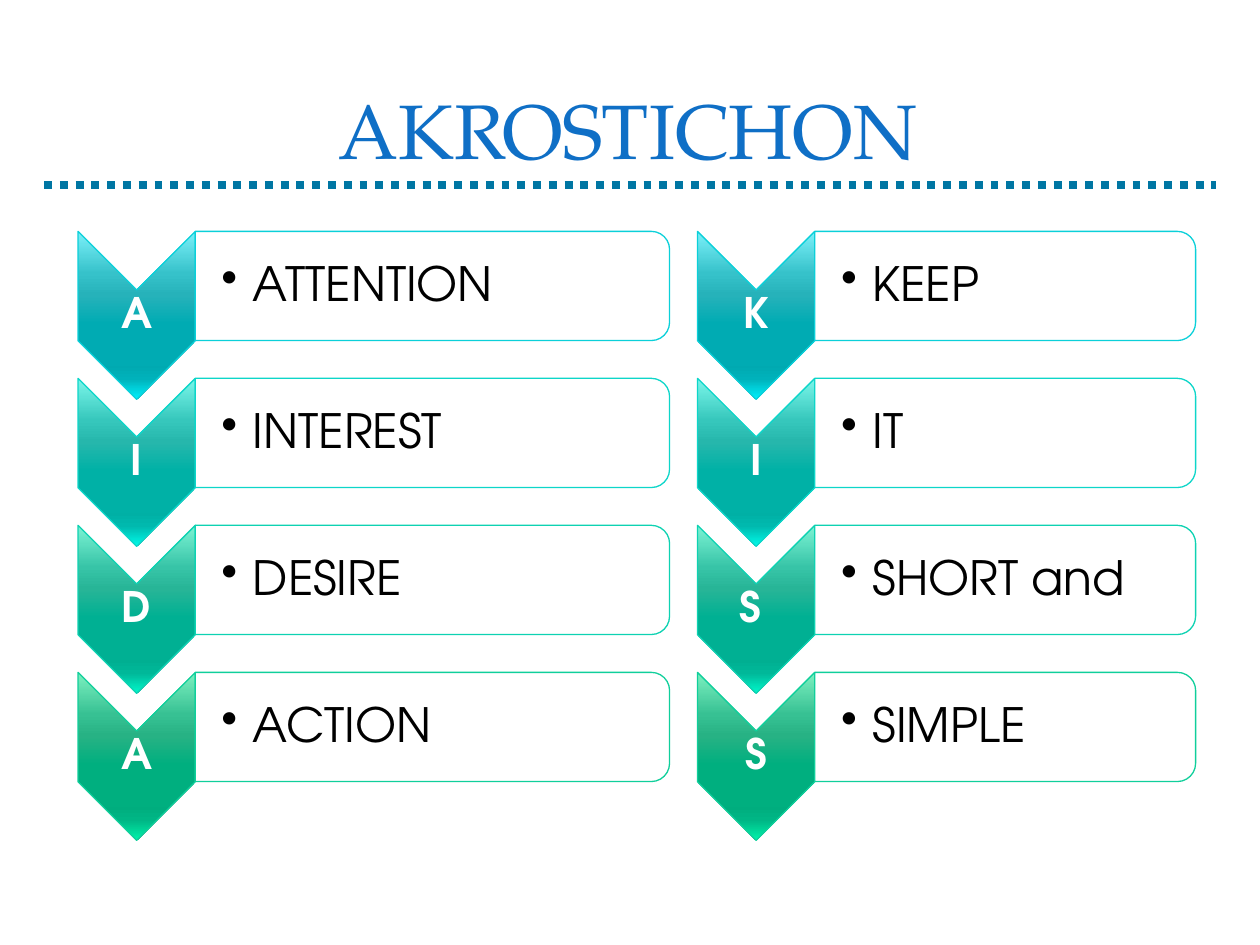
from lxml.etree import SubElement
from pptx import Presentation
from pptx.dml.color import RGBColor
from pptx.enum.dml import MSO_LINE
from pptx.enum.shapes import MSO_CONNECTOR, MSO_SHAPE as Shape
from pptx.enum.text import MSO_ANCHOR, PP_ALIGN as Align
from pptx.oxml.ns import qn
from pptx.util import Pt

TITLE_FONT = "TeX Gyre Pagella"
BODY_FONT = "TeX Gyre Adventor"
ROW_PITCH = 84
CHEVRON_WIDTH, CHEVRON_HEIGHT = 67, 96
PANEL_HEIGHT = 62.4
STOPS = (0, 25, 38, 55, 80, 88, 100)
# One entry per row: outline colour, then the gradient colours at STOPS.
ROW_COLORS = [
    ("0BD0D9", "7CF0F9 36C2CA 26B2BA 00ABB3 00A9B1 00B2BB 00F1FD".split()),
    ("0DD6C9", "7CF6EA 36C7BC 26B7AC 00B1A6 00B0A5 00B9AE 00FAE9".split()),
    ("0ED2B2", "7DF3D4 37C4A7 27B597 00B093 00AF91 00B899 00F7CA".split()),
    ("10CF9B", "7DF0C0 37C193 27B284 00AF7F 00AD7E 00B685 00F4AB".split()),
]
AIDA = [("A", "ATTENTION"), ("I", "INTEREST"), ("D", "DESIRE"), ("A", "ACTION")]
KISS = [("K", "KEEP"), ("I", "IT"), ("S ", "SHORT and"), ("S", "SIMPLE")]


def color(value):
    return RGBColor.from_string(value)


def add_text(page, text, left, top, width, height, font, size, ink,
             bold=False, align=Align.LEFT, inset=1.5, spacing=0.9):
    """Add a vertically centred line of text and return its paragraph."""
    box = page.shapes.add_textbox(Pt(left), Pt(top), Pt(width), Pt(height))
    frame = box.text_frame
    frame.word_wrap = True
    frame.vertical_anchor = MSO_ANCHOR.MIDDLE
    frame.margin_left = Pt(inset)
    frame.margin_right = frame.margin_top = frame.margin_bottom = Pt(1.5)
    para = frame.paragraphs[0]
    para.text = text
    para.alignment = align
    para.line_spacing = spacing
    para.font.name = font
    para.font.size = Pt(size)
    para.font.bold = bold
    para.font.color.rgb = color(ink)
    return para


def add_turned_shape(page, kind, left, top, width, height, outline):
    """Add a shape turned by 90 degrees that fills the given box as seen."""
    shape = page.shapes.add_shape(
        kind, Pt(left + (width - height) / 2), Pt(top + (height - width) / 2),
        Pt(height), Pt(width))
    shape.rotation = 90
    shape.shadow.inherit = False
    shape.line.color.rgb = color(outline)
    shape.line.width = Pt(0.75)
    return shape


def fill_gradient(shape, colors):
    """Fill from top to bottom of the page, whatever the shape's rotation."""
    shape.fill.gradient()
    gradient = shape._element.spPr.find(qn("a:gradFill"))
    gradient.set("rotWithShape", "0")
    gradient.find(qn("a:lin")).set("ang", "5400000")
    stops = gradient.find(qn("a:gsLst"))
    for stop in list(stops):
        stops.remove(stop)
    for position, value in zip(STOPS, colors):
        stop = SubElement(stops, qn("a:gs"), pos=str(position * 1000))
        SubElement(stop, qn("a:srgbClr"), val=value)


def add_bullet(para, indent):
    properties = para._p.get_or_add_pPr()
    properties.set("marL", str(Pt(indent)))
    properties.set("indent", str(-Pt(indent)))
    SubElement(properties, qn("a:buChar"), char="•")


def add_header(page, left, top, width, height):
    add_text(page, "AKROSTICHON", left + 8.6, top, width - 19.4, height,
             TITLE_FONT, 44, "0F6FC6", align=Align.CENTER, spacing=1)
    rule_top = Pt(top + 73.4)
    rule = page.shapes.add_connector(
        MSO_CONNECTOR.STRAIGHT, Pt(left), rule_top, Pt(left + width), rule_top)
    rule.line.color.rgb = color("0076A3")
    rule.line.width = Pt(4.5)
    rule.line.dash_style = MSO_LINE.ROUND_DOT
    SubElement(rule._element.spPr, qn("a:effectLst"))


def add_acrostic(page, entries, left, top, width):
    """Add a column of lettered chevrons, each with its word beside it."""
    panel_left = left + CHEVRON_WIDTH
    panel_width = width - CHEVRON_WIDTH
    for row, ((letter, word), (outline, colors)) in enumerate(zip(entries, ROW_COLORS)):
        row_top = top + row * ROW_PITCH
        chevron = add_turned_shape(page, Shape.CHEVRON, left, row_top,
                                   CHEVRON_WIDTH, CHEVRON_HEIGHT, outline)
        fill_gradient(chevron, colors)
        add_text(page, letter, left, row_top + 33.5, CHEVRON_WIDTH, 28.8,
                 BODY_FONT, 24, "FFFFFF", bold=True, align=Align.CENTER)
        panel = add_turned_shape(page, Shape.ROUND_2_SAME_RECTANGLE, panel_left,
                                 row_top, panel_width, PANEL_HEIGHT, outline)
        panel.fill.solid()
        panel.fill.fore_color.rgb = color("FFFFFF")
        para = add_text(page, word, panel_left, row_top + 3, panel_width - 3,
                        PANEL_HEIGHT - 6, BODY_FONT, 27, "000000", inset=15)
        add_bullet(para, 18)


def main():
    deck = Presentation()
    deck.slide_width, deck.slide_height = Pt(720), Pt(540)
    page = deck.slides.add_slide(deck.slide_layouts[6])
    add_header(page, 25.2, 32.4, 669.6, 82)
    add_acrostic(page, AIDA, 44.6, 132.2, 338)
    add_acrostic(page, KISS, 398.6, 132.2, 284.6)
    deck.save("out.pptx")


if __name__ == "__main__":
    main()
